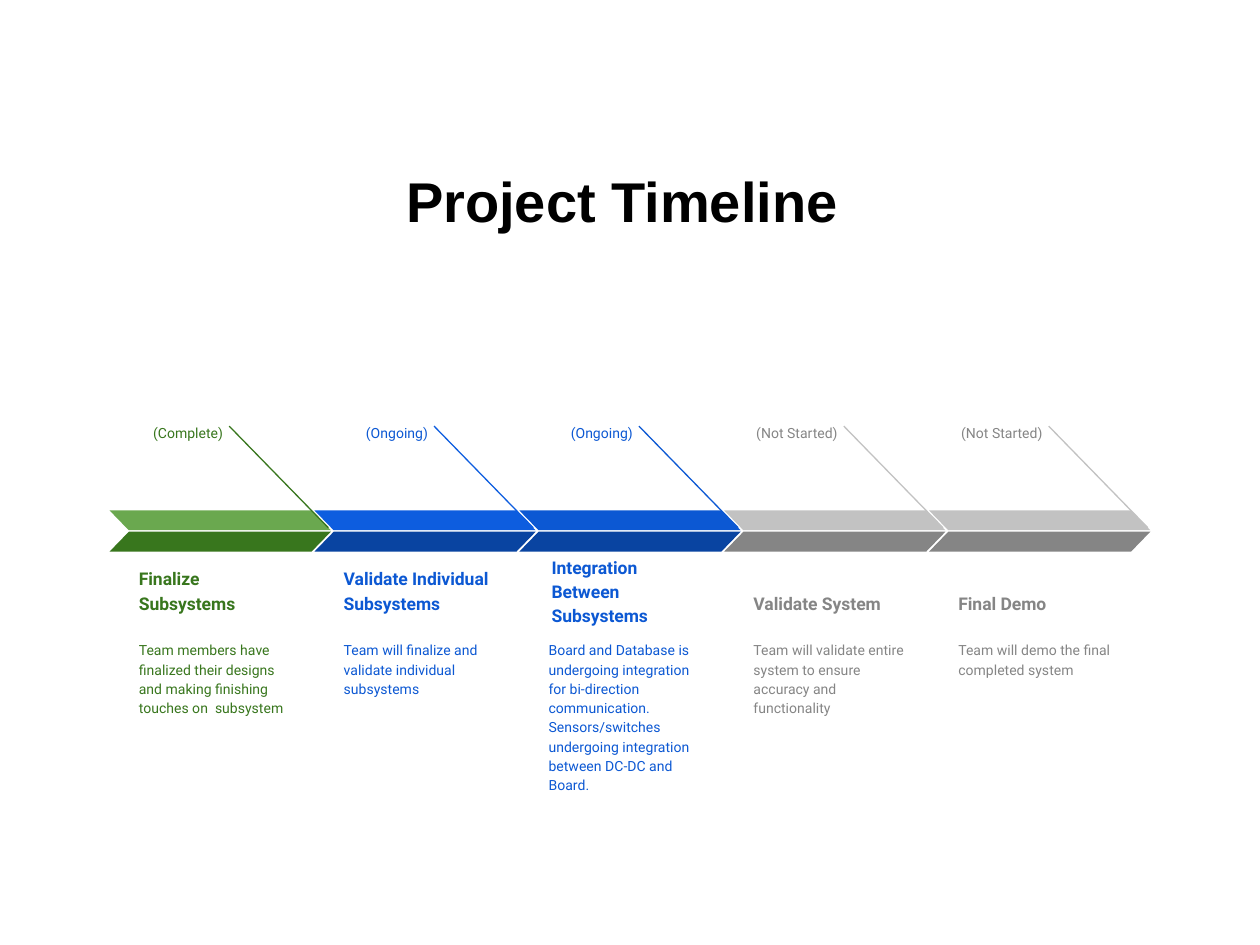
import pptx
import pptx.util
import pptx.dml.color
import pptx.enum.shapes
import pptx.enum.text
import pptx.oxml
import pptx.oxml.ns

Cm = pptx.util.Cm
Pt = pptx.util.Pt
Align = pptx.enum.text.PP_ALIGN
Anchor = pptx.enum.text.MSO_ANCHOR

colours = {
    "black": "000000",
    "leaf": "6AA84F",
    "green": "38761D",
    "bright": "0D5DDF",
    "blue": "0C58D3",
    "navy": "0944A1",
    "silver": "C2C2C2",
    "grey": "858585",
}


def rgb(name):
    return pptx.dml.color.RGBColor.from_string(colours[name])


def add_text(words, place, colour, font, frame_format, para_format, margin=0.25):
    box = page.shapes.add_textbox(*[Cm(length) for length in place])
    frame = box.text_frame
    sides = {"margin_left": Cm(0.25), "margin_right": Cm(0.25),
             "margin_top": Cm(margin), "margin_bottom": Cm(margin)}
    para = frame.paragraphs[0]
    span = para.add_run()
    span.text = words
    span.font.color.rgb = rgb(colour)
    for target, values in (
        (frame, {"word_wrap": True, **sides, **frame_format}),
        (para, para_format),
        (span.font, font),
    ):
        for key, value in values.items():
            setattr(target, key, value)


deck = pptx.Presentation()
deck.slide_width = Cm(25.4)
deck.slide_height = Cm(19.05)
page = deck.slides.add_slide(deck.slide_layouts[6])

title_font = {"name": "Arial", "size": Pt(32), "bold": True}
heading_font = {"name": "Roboto", "size": Pt(10), "bold": True}
body_font = {"name": "Roboto", "size": Pt(8)}
top = {"vertical_anchor": Anchor.TOP}
middle = {"vertical_anchor": Anchor.MIDDLE}
bottom = {"vertical_anchor": Anchor.BOTTOM}
left_para = {"alignment": Align.LEFT, "line_spacing": 1.15}
right_para = {"alignment": Align.RIGHT, "line_spacing": 1.15}

add_text("Project Timeline ", (1.27, 2.92, 22.86, 2.24), "black", title_font,
         middle, {"alignment": Align.CENTER}, 0.13)

stages = [
    ("(Complete)", "Finalize Subsystems",
     "Team members have finalized their designs and making finishing touches on  subsystem",
     "green", "leaf", "green", "green", (0, 0)),
    ("(Ongoing)", "Validate Individual Subsystems",
     "Team will finalize and validate individual subsystems",
     "blue", "bright", "navy", "bright", (0, 0)),
    ("(Ongoing)", "Integration Between Subsystems",
     "Board and Database is undergoing integration for bi-direction communication. "
     "Sensors/switches undergoing integration between DC-DC and Board.",
     "blue", "blue", "navy", "blue", (0.06, 0.25)),
    ("(Not Started)", "Validate System",
     "Team will validate entire system to ensure accuracy and functionality",
     "grey", "silver", "grey", "silver", (0, 0)),
    ("(Not Started)", "Final Demo",
     "Team will demo the final completed system",
     "grey", "silver", "grey", "silver", (0, 0)),
]

step = 4.13
for index, stage in enumerate(stages):
    status, heading, body, ink, upper, lower, line_colour, shift = stage
    left = 2.21 + index * step

    for y, fill, flipped in ((10.29, upper, True), (10.72, lower, False)):
        band = page.shapes.add_shape(
            pptx.enum.shapes.MSO_SHAPE.PARALLELOGRAM,
            Cm(left), Cm(y), Cm(4.46), Cm(0.4))
        band.shadow.inherit = False
        band.adjustments[0] = 0.97
        band.fill.solid()
        band.fill.fore_color.rgb = rgb(fill)
        band.line.fill.background()
        if flipped:
            band.element.spPr.find(pptx.oxml.ns.qn("a:xfrm")).set("flipH", "1")

    leader = page.shapes.add_connector(
        pptx.enum.shapes.MSO_CONNECTOR.STRAIGHT,
        Cm(left + 2.41), Cm(8.59), Cm(left + 4.41), Cm(10.64))
    leader.line.color.rgb = rgb(line_colour)
    leader.line.width = Pt(0.75)
    leader.element.spPr.append(pptx.oxml.parse_xml(
        "<a:effectLst %s/>" % pptx.oxml.ns.nsdecls("a")))

    add_text(status, (left, 8.32, 2.54, 0.66), ink, body_font, top, right_para)
    add_text(heading, (left + 0.34 + shift[0], 11.37 + shift[1], 3.68, 1.25),
             ink, heading_font, bottom, left_para)
    add_text(body, (left + 0.34, 12.64, 3.68, 2.06), ink, body_font, top, left_para)

deck.save("out.pptx")
